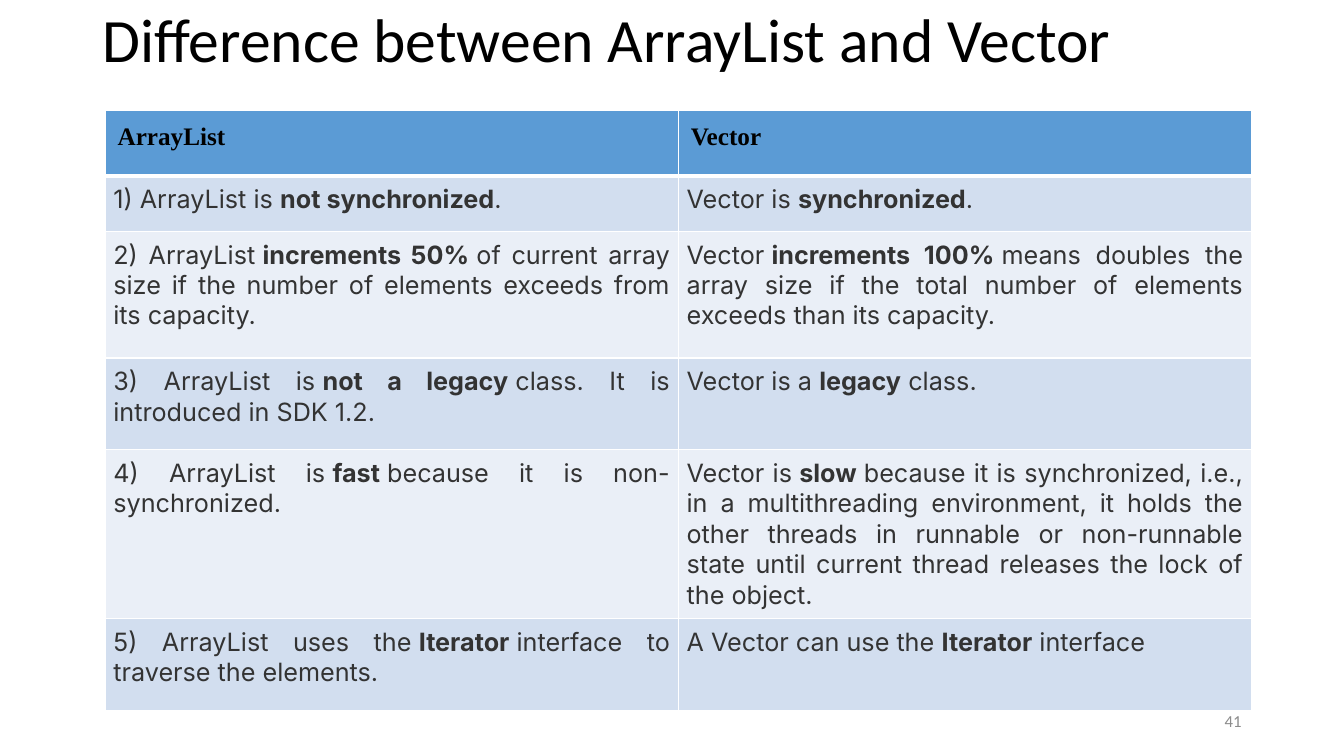
from lxml import etree
from pptx import Presentation
from pptx.dml.color import RGBColor
from pptx.enum.text import MSO_ANCHOR, MSO_AUTO_SIZE, PP_ALIGN
from pptx.oxml.ns import qn
from pptx.util import Pt

LEFT, RIGHT, JUSTIFY = PP_ALIGN.LEFT, PP_ALIGN.RIGHT, PP_ALIGN.JUSTIFY
MIDDLE = MSO_ANCHOR.MIDDLE
NO_AUTOFIT = MSO_AUTO_SIZE.NONE

BLACK = RGBColor(0x00, 0x00, 0x00)
WHITE = RGBColor(0xFF, 0xFF, 0xFF)
BODY_GREY = RGBColor(0x33, 0x33, 0x33)
NUMBER_GREY = RGBColor(0x8C, 0x8C, 0x8C)
HEADER_BLUE = RGBColor(0x5B, 0x9B, 0xD5)
BANDS = (RGBColor(0xD2, 0xDE, 0xEF), RGBColor(0xEA, 0xEF, 0xF7))

TITLE_FONT = {"name": "Calibri", "size": Pt(44), "bold": False}
HEADER_FONT = {"name": "Times New Roman", "size": Pt(18), "bold": True}
BODY_FONT = {"name": "Inter", "size": Pt(18), "bold": False}
STRONG_FONT = {**BODY_FONT, "bold": True}
NUMBER_FONT = {"name": "Calibri", "size": Pt(12)}

NBSP = chr(160)
HEADERS = ("ArrayList", "Vector")
# Each cell: lead-in, emphasised words, rest
ROWS = (
    (("1) ArrayList is", "not synchronized", "."),
     ("Vector is", "synchronized", ".")),
    (("2) ArrayList", "increments 50%",
      "of current array size if the number of elements exceeds from its capacity."),
     ("Vector", "increments 100%",
      "means doubles the array size if the total number of elements exceeds than its capacity.")),
    (("3) ArrayList is", "not a legacy", "class. It is introduced in SDK 1.2."),
     ("Vector is a", "legacy", "class.")),
    (("4) ArrayList is", "fast", "because it is non-synchronized."),
     ("Vector is", "slow",
      "because it is synchronized, i.e., in a multithreading environment, it holds "
      "the other threads in runnable or non-runnable state until current thread "
      "releases the lock of the object.")),
    (("5) ArrayList uses the", "Iterator", "interface to traverse the elements."),
     ("A Vector can use the", "Iterator", "interface")),
)
ROW_HEIGHTS = (47, 39.5, 90.5, 65.5, 116, 65.5)


def add_run(p, text, font, color):
    r = p.add_run()
    r.text = text
    for name, value in font.items():
        setattr(r.font, name, value)
    r.font.color.rgb = color


def place_title(s, x, y, w, h):
    sp = s.shapes.title
    sp.left, sp.top, sp.width, sp.height = Pt(x), Pt(y), Pt(w), Pt(h)
    tf = sp.text_frame
    tf.auto_size, tf.vertical_anchor = NO_AUTOFIT, MIDDLE
    p = tf.paragraphs[0]
    p.alignment, p.line_spacing = LEFT, 0.9
    add_run(p, "Difference between ArrayList and Vector", TITLE_FONT, BLACK)
    p.add_line_break()


def add_borders(cell, top, bottom):
    """Draw white cell borders; the side borders are 1 pt. Call before filling."""
    tc_pr = cell._tc.get_or_add_tcPr()
    for side, width in (("L", 1), ("R", 1), ("T", top), ("B", bottom)):
        line = etree.SubElement(tc_pr, qn(f"a:ln{side}"), w=str(Pt(width)))
        fill = etree.SubElement(line, qn("a:solidFill"))
        etree.SubElement(fill, qn("a:srgbClr"), val=str(WHITE))


def format_cell(cell, fill, margin, top=1, bottom=1):
    add_borders(cell, top, bottom)
    cell.fill.solid()
    cell.fill.fore_color.rgb = fill
    for side in ("left", "right", "top", "bottom"):
        setattr(cell, f"margin_{side}", Pt(margin))


def fill_body_cell(cell, lead, strong, rest):
    """Write the three parts, joined by non-breaking spaces."""
    p = cell.text_frame.paragraphs[0]
    p.alignment = JUSTIFY
    add_run(p, lead + NBSP, BODY_FONT, BODY_GREY)
    add_run(p, strong, STRONG_FONT, BODY_GREY)
    add_run(p, rest if rest == "." else NBSP + rest, BODY_FONT, BODY_GREY)


def add_comparison(s, x, y, w):
    table = s.shapes.add_table(len(ROW_HEIGHTS), len(HEADERS), Pt(x), Pt(y),
                               Pt(w), Pt(sum(ROW_HEIGHTS))).table
    for row, height in zip(table.rows, ROW_HEIGHTS):
        row.height = Pt(height)
    for col, header in enumerate(HEADERS):
        cell = table.cell(0, col)
        format_cell(cell, HEADER_BLUE, 9, bottom=3)
        add_run(cell.text_frame.paragraphs[0], header, HEADER_FONT, BLACK)
    for i, row in enumerate(ROWS):
        for col, parts in enumerate(row):
            cell = table.cell(i + 1, col)
            format_cell(cell, BANDS[i % 2], 6, top=1 if i else 3)
            fill_body_cell(cell, *parts)


def add_slide_number(s, x, y, w, h):
    tf = s.shapes.add_textbox(Pt(x), Pt(y), Pt(w), Pt(h)).text_frame
    tf.word_wrap, tf.vertical_anchor = True, MIDDLE
    p = tf.paragraphs[0]
    p.alignment = RIGHT
    add_run(p, "41", NUMBER_FONT, NUMBER_GREY)


def main():
    prs = Presentation()
    prs.slide_width, prs.slide_height = Pt(960), Pt(540)
    s = prs.slides.add_slide(prs.slide_layouts.get_by_name("Title Only"))
    place_title(s, 66, 29, 828, 55.5)
    add_comparison(s, 75, 78.75, 819)
    add_slide_number(s, 678, 500.5, 216, 28.75)
    prs.save("out.pptx")


if __name__ == "__main__":
    main()
